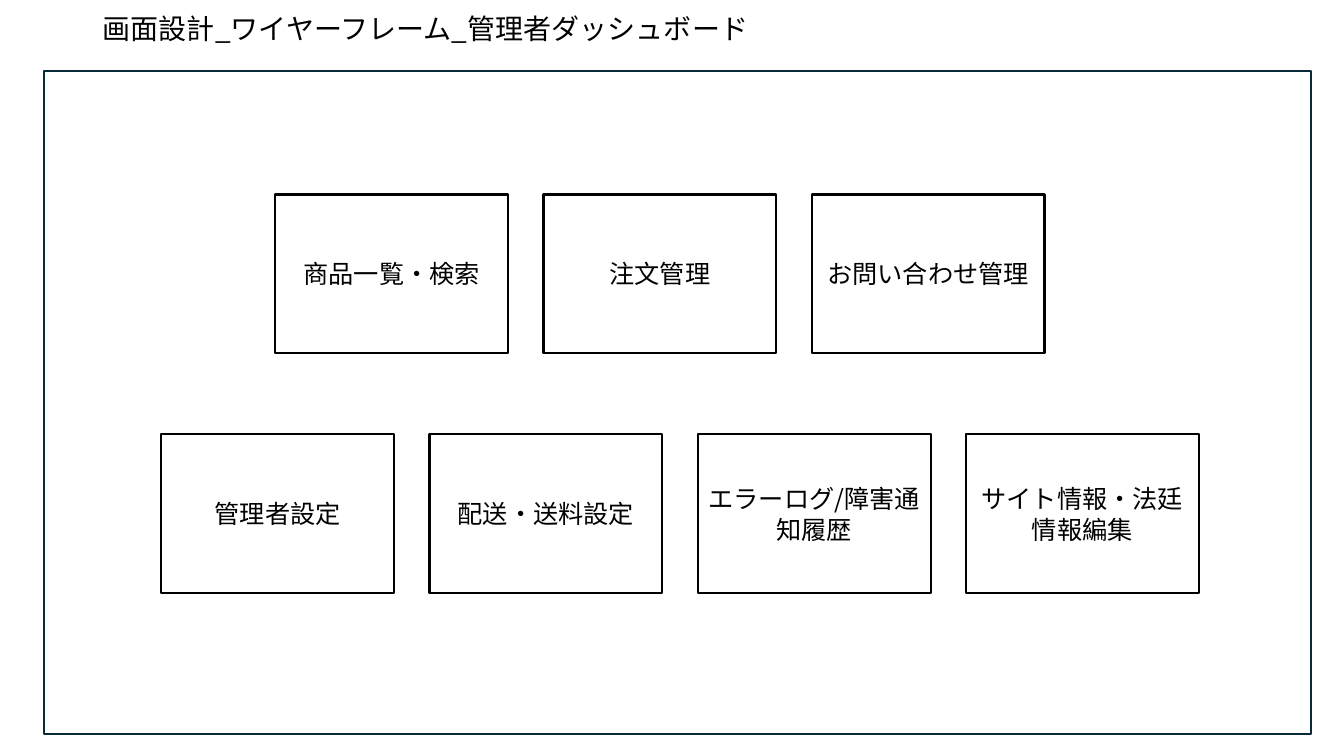
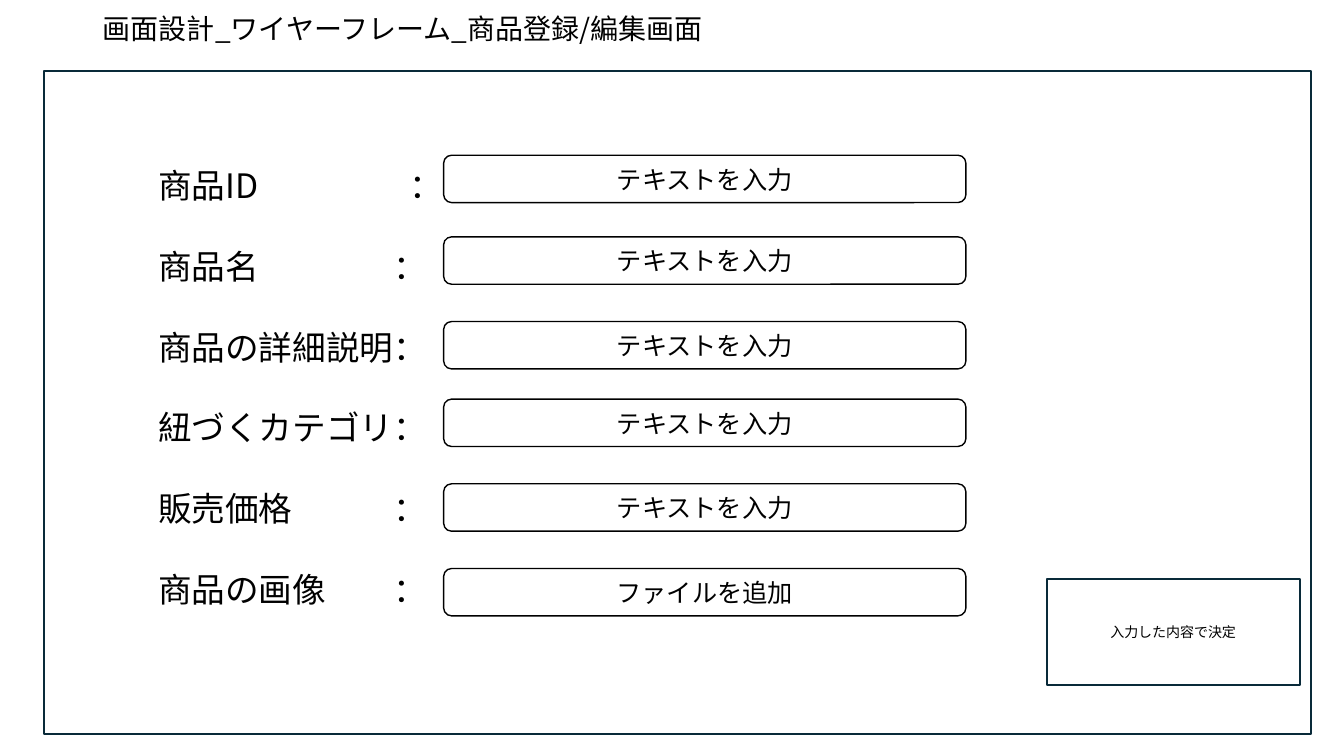
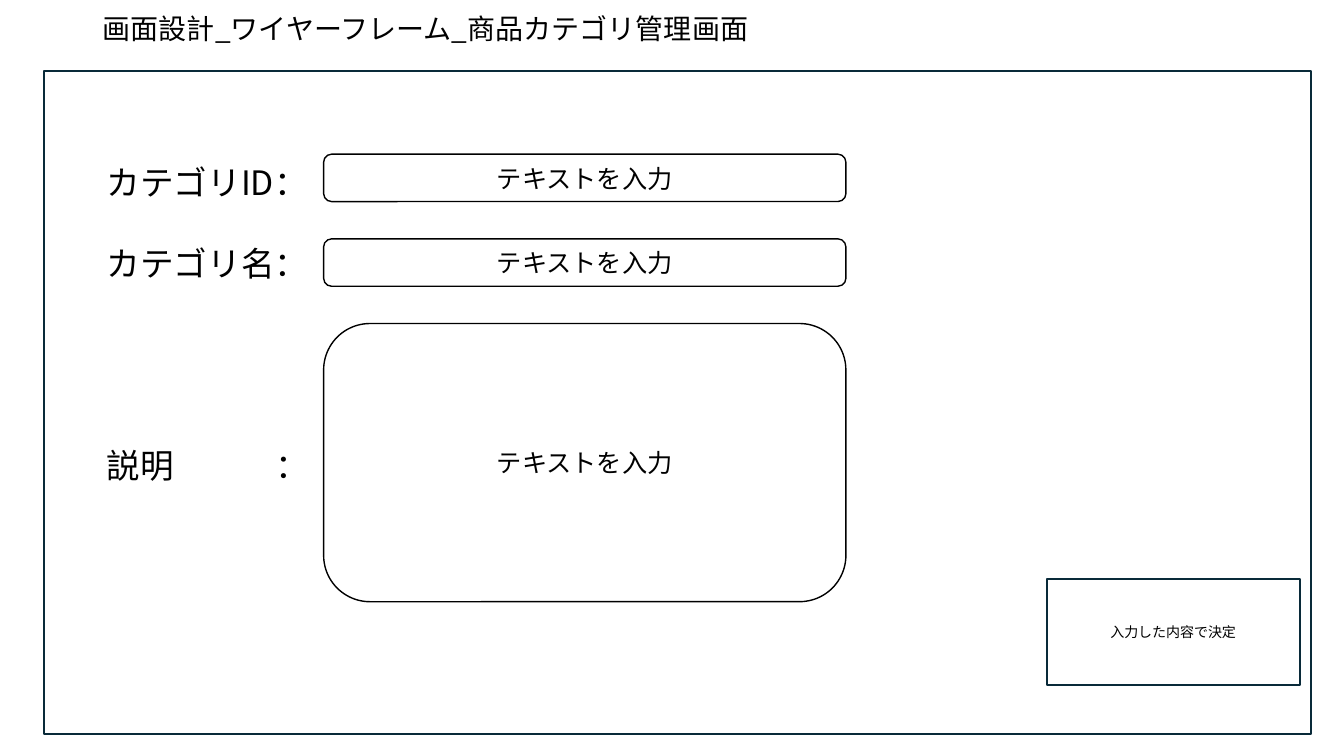
"""Build three wireframe slides for a shop's admin screens."""
from lxml import etree
from pptx import Presentation
from pptx.dml.color import RGBColor
from pptx.enum.shapes import MSO_SHAPE
from pptx.enum.text import MSO_ANCHOR, MSO_AUTO_SIZE, PP_ALIGN
from pptx.oxml.ns import qn
from pptx.util import Inches, Pt

RECT = MSO_SHAPE.RECTANGLE
ROUND = MSO_SHAPE.ROUNDED_RECTANGLE
MIDDLE = MSO_ANCHOR.MIDDLE
FIXED = MSO_AUTO_SIZE.NONE
LEFT = PP_ALIGN.LEFT
CENTER = PP_ALIGN.CENTER

BLACK = RGBColor(0x00, 0x00, 0x00)
NAVY = RGBColor(0x09, 0x2A, 0x39)
WHITE = RGBColor(0xFF, 0xFF, 0xFF)
FONT = "Noto Sans CJK JP"
ENTRY = "テキストを入力"
LINE = 28.8


def style(para, text, size, align, pitch):
    para.text = text
    para.alignment = align
    para.line_spacing = Pt(pitch)
    para.font.name = FONT
    para.font.size = Pt(size)
    para.font.color.rgb = BLACK
    base = para._p.pPr.find(qn("a:defRPr"))
    etree.SubElement(base, qn("a:ea"), typeface=FONT)
    return base


def box(slide, kind, area, color, width, text="", size=18, fill=None):
    shape = slide.shapes.add_shape(kind, *[Inches(v) for v in area])
    shape.shadow.inherit = False
    if fill is None:
        shape.fill.background()
    else:
        shape.fill.solid()
        shape.fill.fore_color.rgb = fill
    shape.line.color.rgb = color
    shape.line.width = Pt(width)
    if text:
        frame = shape.text_frame
        frame.word_wrap = True
        frame.vertical_anchor = MIDDLE
        style(frame.paragraphs[0], text, size, CENTER, size * 1.22)


deck = Presentation()
deck.slide_width = Inches(13.33)
deck.slide_height = Inches(7.5)

slides = []
for name in ["管理者ダッシュボード", "商品登録/編集画面", "商品カテゴリ管理画面"]:
    slide = deck.slides.add_slide(deck.slide_layouts[5])
    title = slide.shapes.title
    title.left, title.top = Inches(0.92), Inches(0.23)
    title.width, title.height = Inches(6.82), Inches(0.13)
    frame = title.text_frame
    frame.word_wrap = True
    frame.auto_size = FIXED
    frame.vertical_anchor = MIDDLE
    style(frame.paragraphs[0], f"画面設計_ワイヤーフレーム_{name}", 20, LEFT, 21.6)
    box(slide, RECT, (0.44, 0.7, 12.56, 6.58), NAVY, 1.5)
    slides.append(slide)

menu, goods, group = slides

rows = [
    (2.73, 1.93, ["商品一覧・検索", "注文管理", "お問い合わせ管理"]),
    (1.6, 4.31, ["管理者設定", "配送・送料設定", "エラーログ/障害通知履歴", "サイト情報・法廷情報編集"]),
]
for left, top, names in rows:
    for i, name in enumerate(names):
        area = (left + i * 2.66, top, 2.31, 1.57)
        box(menu, RECT, area, BLACK, 1.5, name, fill=WHITE)

forms = [
    (goods, 1.47, 1.59, 4.85, 4.4, [
        ("商品ID\t：", 2.49, 1, 1.54, 0.47, ENTRY),
        ("商品名\t：", 2.33, 1, 2.35, 0.47, ENTRY),
        ("商品の詳細説明：", None, 1, 3.19, 0.47, ENTRY),
        ("紐づくカテゴリ：", None, 1, 3.96, 0.47, ENTRY),
        ("販売価格\t：", 2.33, 1, 4.8, 0.47, ENTRY),
        ("商品の画像\t：", 2.33, 1, 5.64, 0.47, "ファイルを追加"),
    ]),
    (group, 0.96, 1.56, 3.33, 3.21, [
        ("カテゴリID：", None, 1, 1.53, 0.47, ENTRY),
        ("カテゴリ名：", None, 1, 2.37, 0.47, ENTRY),
        ("説明\t：", 1.67, 4, 3.21, 2.76, ENTRY),
    ]),
]
for slide, left, top, height, edge, fields in forms:
    labels = slide.shapes.add_textbox(
        Inches(left), Inches(top), Inches(11.53), Inches(height))
    frame = labels.text_frame
    frame.word_wrap = True
    for i, (label, stop, gap, y, tall, hint) in enumerate(fields):
        para = frame.add_paragraph() if i else frame.paragraphs[0]
        para.space_before = Pt(gap * LINE if i else 0)
        base = style(para, label, 24, LEFT, LINE)
        if stop:
            tabs = etree.Element(qn("a:tabLst"))
            etree.SubElement(tabs, qn("a:tab"), pos=str(Inches(stop)), algn="l")
            base.addprevious(tabs)
        box(slide, ROUND, (edge, y, 5.18, tall), BLACK, 1, hint)
    box(slide, RECT, (10.38, 5.74, 2.51, 1.06), NAVY, 1.5, "入力した内容で決定", 10)

deck.save("out.pptx")
